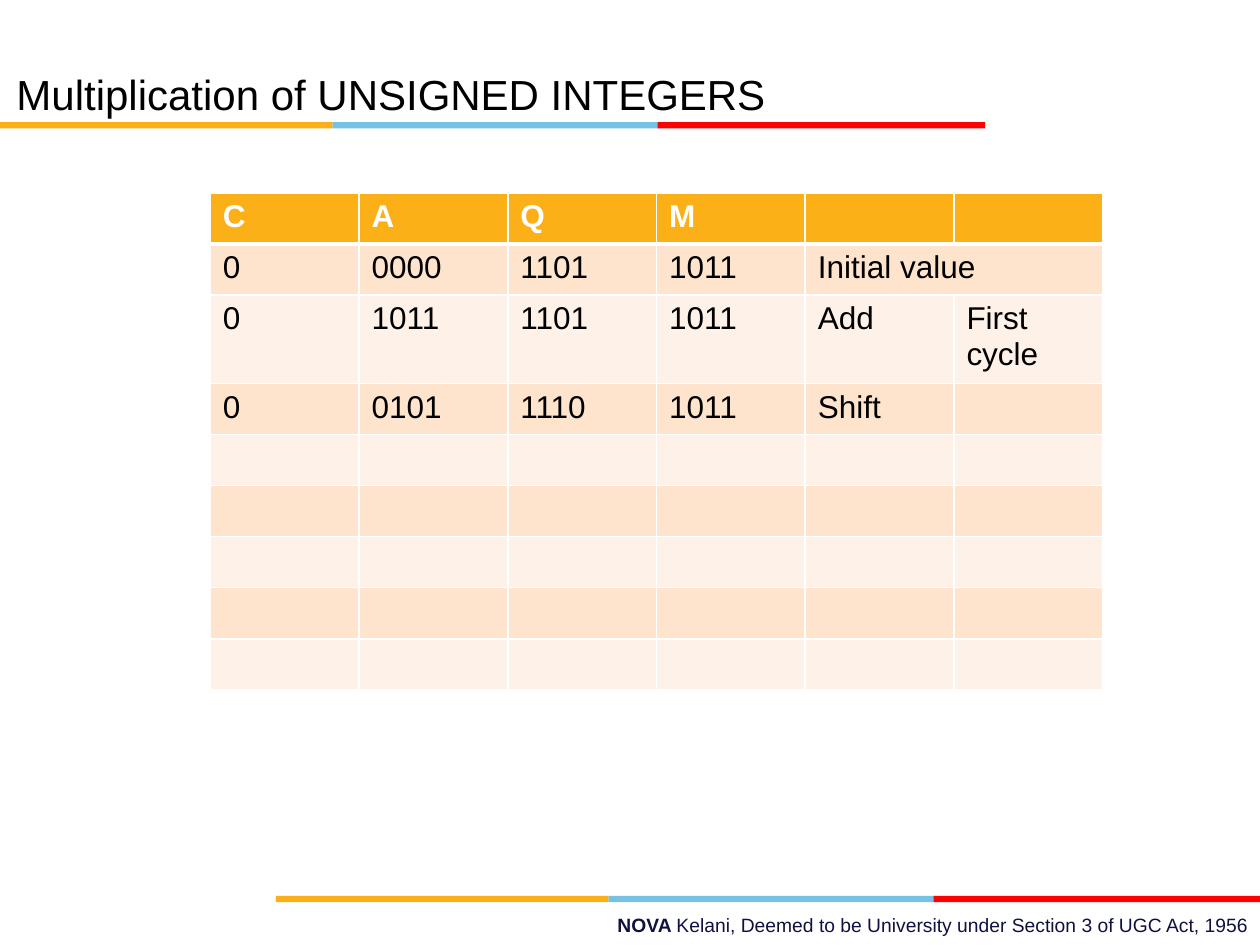
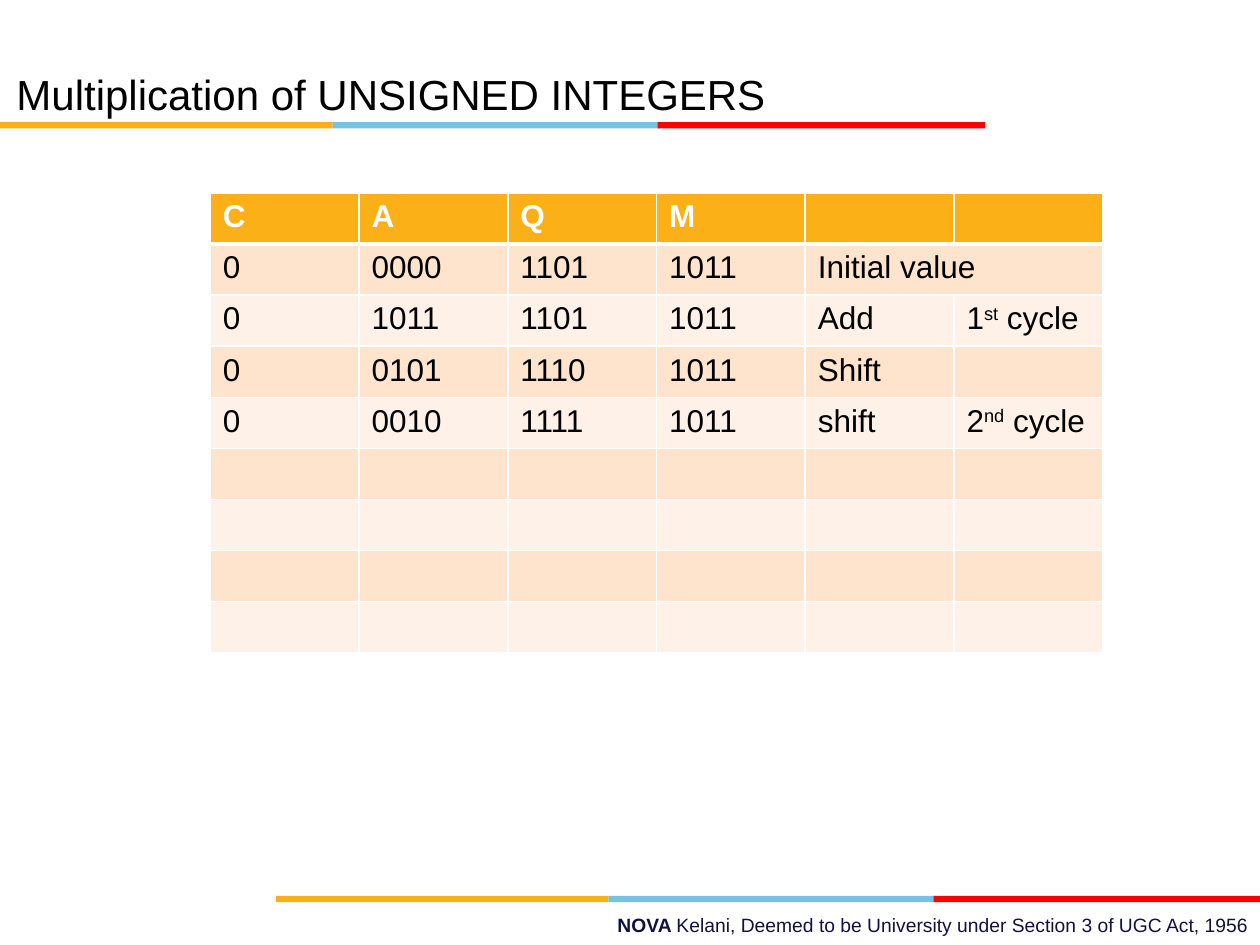
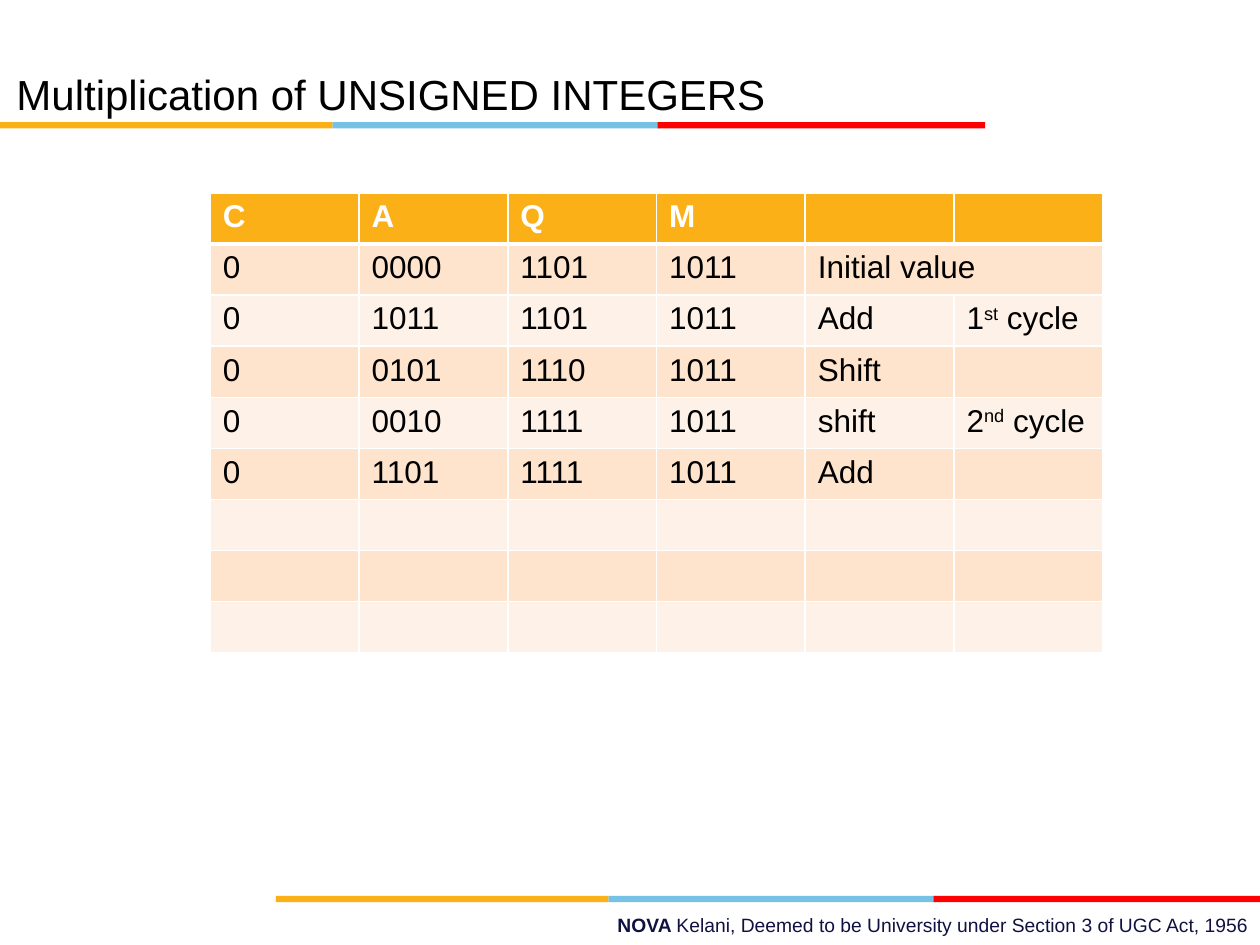
from pptx import Presentation
from pptx.dml.color import RGBColor
from pptx.enum.shapes import MSO_SHAPE as Preset
from pptx.enum.text import MSO_ANCHOR as Anchor, MSO_AUTO_SIZE as AutoSize, PP_ALIGN as Align
from pptx.oxml.ns import qn
from pptx.util import Pt
from lxml.etree import SubElement

TITLE = "Multiplication of UNSIGNED INTEGERS"
FOOTER = [("NOVA ", True),
          ("Kelani, Deemed to be University under Section 3 of UGC Act, 1956", False)]

HEADER = ["C", "A", "Q", "M"]
INITIAL = ["0", "0000", "1101", "1011", "Initial value"]
ADD_1 = ["0", "1011", "1101", "1011", "Add"]
SHIFT_1 = ["0", "0101", "1110", "1011", "Shift"]
SHIFT_2 = ["0", "0010", "1111", "1011", "shift", ("2", "nd", " cycle")]
ADD_3 = ["0", "1101", "1111", "1011", "Add"]
FIRST_CYCLE = [HEADER, INITIAL, ADD_1 + ["First cycle"], SHIFT_1]
SECOND_CYCLE = [HEADER, INITIAL, ADD_1 + [("1", "st", " cycle")], SHIFT_1, SHIFT_2]
TRACES = [(FIRST_CYCLE, 283.7), (SECOND_CYCLE, 262.8), (SECOND_CYCLE + [ADD_3], 262.8)]


def color(value):
    """Turn a hex string into a colour."""
    return RGBColor.from_string(value)


class Lecture:
    """Hold the lecture's style and the current page."""
    FONT = "Arial"
    BLACK, WHITE, NAVY = "000000", "FFFFFF", "101141"
    GOLD, SKY, RED = "FCB017", "76C2E5", "FF0000"
    BANDS = ("FEF2E8", "FEE4CC")
    STRIPES = ((190, 187.2, SKY), (0, 190, GOLD), (375.8, 187.2, RED))
    ROWS, COLUMNS, ROW_HEIGHT, COLUMN_WIDTH = 9, 6, 29.2, 85

    def __init__(self):
        """Open an empty 10 by 7.5 inch deck."""
        self.deck = Presentation()
        self.deck.slide_width, self.deck.slide_height = Pt(720), Pt(540)
        self.page = None

    def add_page(self):
        """Start a page with its title, stripes and footer."""
        self.page = self.deck.slides.add_slide(self.deck.slide_layouts[6])
        self.stripes(0, 69.8)
        self.footer()
        self.stripes(157.7, 511.9)
        self.title(TITLE)

    def stripes(self, left, top):
        """Draw the three-colour rule."""
        for offset, width, fill in self.STRIPES:
            bar = self.page.shapes.add_shape(
                Preset.RECTANGLE, Pt(left + offset), Pt(top), Pt(width), Pt(3.6))
            bar.shadow.inherit = False
            bar.fill.solid()
            bar.fill.fore_color.rgb = color(fill)
            bar.line.fill.background()

    def text_frame(self, left, top, width, height):
        """Add a wrapping text box and return its frame."""
        box = self.page.shapes.add_textbox(Pt(left), Pt(top), Pt(width), Pt(height))
        box.text_frame.word_wrap = True
        return box.text_frame

    def style(self, para, size, ink, bold=None):
        """Set the font of a paragraph."""
        font = para.font
        font.name, font.size, font.bold = self.FONT, Pt(size), bold
        font.color.rgb = color(ink)

    def title(self, text):
        """Write the page title above the upper stripes."""
        frame = self.text_frame(9.4, 20.9, 514, 46.8)
        frame.margin_left = frame.margin_right = frame.margin_top = frame.margin_bottom = 0
        frame.vertical_anchor = Anchor.BOTTOM
        para = frame.paragraphs[0]
        para.text = text
        self.style(para, 24, self.BLACK)

    def footer(self):
        """Write the institution line at the lower right."""
        frame = self.text_frame(249.1, 518.4, 471.6, 20.9)
        frame.auto_size = AutoSize.SHAPE_TO_FIT_TEXT
        para = frame.paragraphs[0]
        para.alignment = Align.RIGHT
        self.style(para, 11, self.NAVY)
        for text, bold in FOOTER:
            span = para.add_run()
            span.text, span.font.bold = text, bold

    def table(self, lines, height):
        """Draw the register trace, leaving later rows empty."""
        holder = self.page.shapes.add_table(
            self.ROWS, self.COLUMNS, Pt(120.2), Pt(110.2),
            Pt(self.COLUMNS * self.COLUMN_WIDTH), Pt(height))
        grid = holder.table
        grid.first_row = grid.horz_banding = False
        for row in grid.rows:
            row.height = Pt(self.ROW_HEIGHT)
        holder.height = Pt(height)
        for r in range(self.ROWS):
            line = lines[r] if r < len(lines) else []
            for c in range(self.COLUMNS):
                self.cell(grid.cell(r, c), r, line[c] if c < len(line) else "")
        grid.cell(1, 4).merge(grid.cell(1, 5))

    def cell(self, cell, row, content):
        """Fill one cell; the second part of a tuple is raised."""
        header = row == 0
        cell.fill.solid()
        cell.fill.fore_color.rgb = color(self.GOLD if header else self.BANDS[row % 2])
        self.borders(cell, top=3 if row == 1 else 1, bottom=3 if header else 1)
        para = cell.text_frame.paragraphs[0]
        self.style(para, 18, self.WHITE if header else self.BLACK, header)
        parts = content if isinstance(content, tuple) else (content,)
        for index, part in enumerate(filter(None, parts)):
            span = para.add_run()
            span.text = part
            if index == 1:
                span._r.get_or_add_rPr().set("baseline", "30000")

    def borders(self, cell, top, bottom):
        """Give a cell white borders."""
        properties = cell._tc.get_or_add_tcPr()
        sides = (("a:lnL", 1), ("a:lnR", 1), ("a:lnT", top), ("a:lnB", bottom))
        for index, (tag, width) in enumerate(sides):
            edge = SubElement(properties, qn(tag), w=str(Pt(width)))
            fill = SubElement(edge, qn("a:solidFill"))
            SubElement(fill, qn("a:srgbClr"), val=self.WHITE)
            properties.insert(index, edge)


def main():
    """Build one page for each stage of the multiplication."""
    lecture = Lecture()
    for lines, height in TRACES:
        lecture.add_page()
        lecture.table(lines, height)
    lecture.deck.save("out.pptx")


if __name__ == "__main__":
    main()
